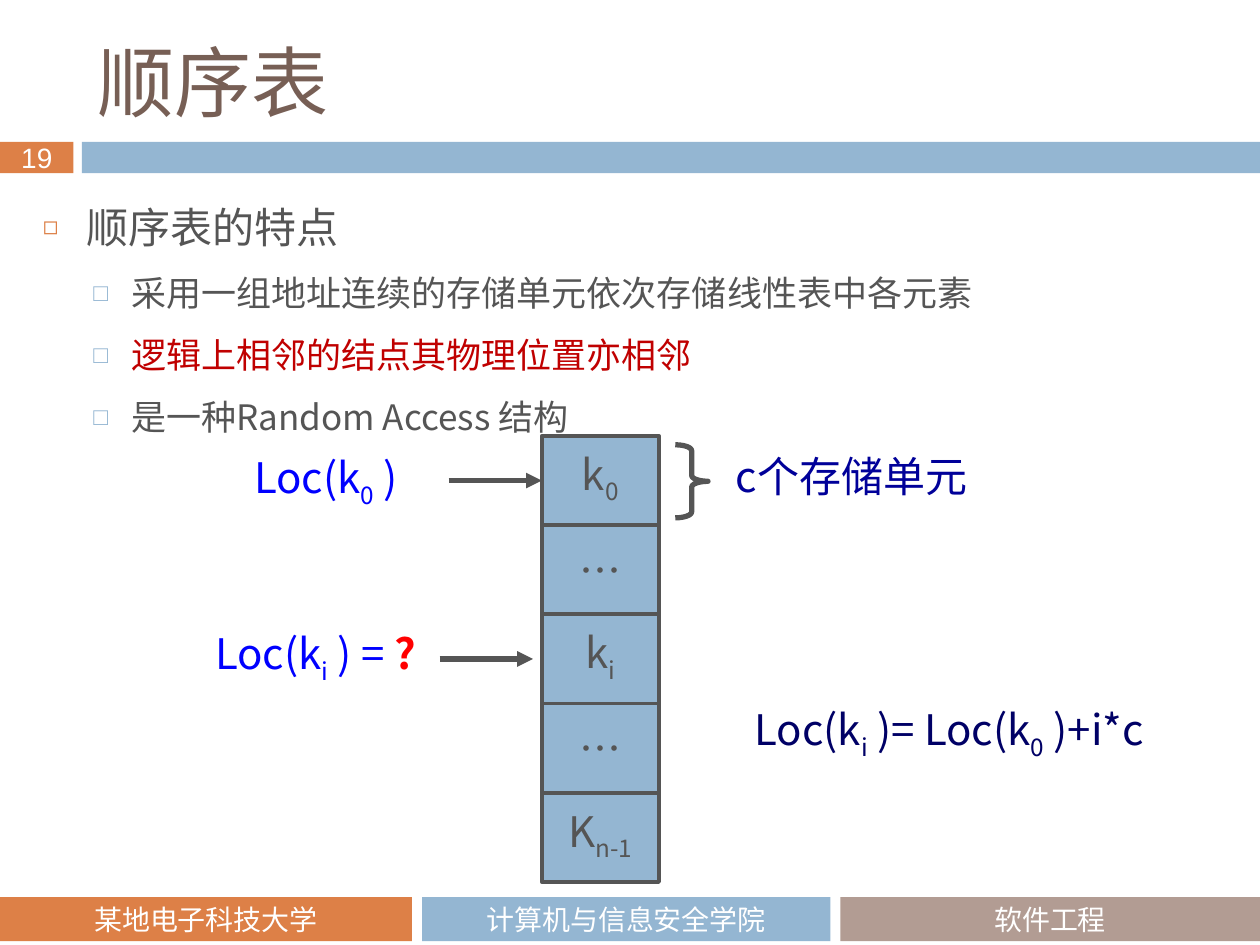
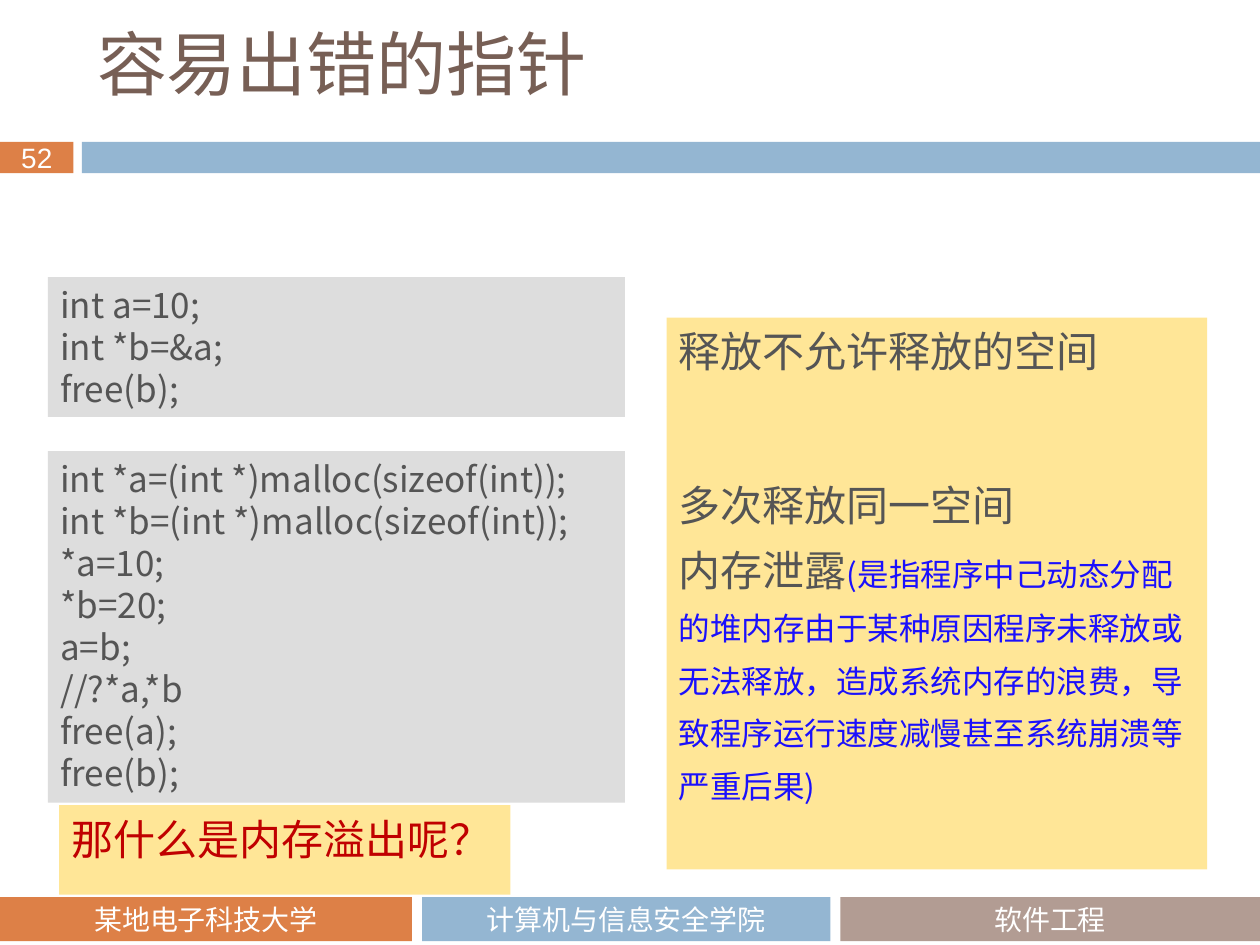
from collections import namedtuple

from lxml import etree
from pptx import Presentation, util as u
from pptx.dml.color import RGBColor
from pptx.enum import shapes, text
from pptx.oxml import ns

# Slide grid: 100 columns by 75 rows
COLS, ROWS = 100, 75
WIDTH, HEIGHT = u.Inches(10), u.Inches(7.5)
Box = namedtuple("Box", "col row cols rows")

ORANGE, BLUE, TAUPE = "DD8047", "94B6D2", "B29C93"
BROWN, INK, RED, WHITE = "775F55", "555555", "C00000", "FFFFFF"
GREY, YELLOW = "DDDDDD", "FFE697"
BODY_FONT, TITLE_FONT, BAND_FONT, NUMBER_FONT = (
    "Noto Sans CJK SC", "Noto Sans CJK JP", "Cabin", "Arial")
RECT = shapes.MSO_SHAPE.RECTANGLE
CENTER, LEFT = text.PP_ALIGN.CENTER, text.PP_ALIGN.LEFT
MIDDLE, TOP = text.MSO_ANCHOR.MIDDLE, text.MSO_ANCHOR.TOP


# ---- Shared helpers ----
def rgb(hex_code):
    return RGBColor.from_string(hex_code)


def x(col):
    return int(WIDTH * col / COLS)


def y(row):
    return int(HEIGHT * row / ROWS)


def inside(region, col, row, cols, rows):
    return Box(region.col + col, region.row + row, cols, rows)


def place(part, box):
    part.left, part.top = x(box.col), y(box.row)
    part.width, part.height = x(box.cols), y(box.rows)


def sub(label):
    return label, {"subscript": True}


def add_run(paragraph, label, size, color, font, bold=None, subscript=False):
    run = paragraph.add_run()
    run.text = label
    run.font.size, run.font.name, run.font.bold = u.Pt(size), font, bold
    run.font.color.rgb = rgb(color)
    props = run.font._element
    east_asian = etree.Element(ns.qn("a:ea"), typeface=font)
    props.find(ns.qn("a:latin")).addnext(east_asian)
    if subscript:
        props.set("baseline", "-25000")


def write(frame, lines, size, color=INK, font=BODY_FONT, align=LEFT,
          anchor=TOP, spacing=None, before=0):
    """Each line is a list of runs: a string, or a string with its changes."""
    frame.word_wrap = True
    frame.auto_size = text.MSO_AUTO_SIZE.NONE
    frame.vertical_anchor = anchor
    for i, runs in enumerate(lines):
        paragraph = frame.add_paragraph() if i else frame.paragraphs[0]
        paragraph.alignment = align
        paragraph.line_spacing = u.Pt(spacing or round(size * 1.2, 1))
        paragraph.space_before = u.Pt(before)
        for item in runs:
            label, changes = (item, {}) if isinstance(item, str) else item
            style = {"size": size, "color": color, "font": font, **changes}
            add_run(paragraph, label, **style)


def add_panel(slide, box, fill=None, line=None, weight=1, kind=RECT):
    panel = slide.shapes.add_shape(kind, 0, 0, 0, 0)
    place(panel, box)
    panel.shadow.inherit = False
    if fill:
        panel.fill.solid()
        panel.fill.fore_color.rgb = rgb(fill)
    else:
        panel.fill.background()
    if line:
        panel.line.color.rgb = rgb(line)
        panel.line.width = u.Pt(weight)
    else:
        panel.line.fill.background()
    return panel


def add_label(slide, box, runs, color):
    label = slide.shapes.add_textbox(0, 0, 0, 0)
    place(label, box)
    write(label.text_frame, [runs], 24, color)


def add_arrow(slide, col, row, cols):
    arrow = slide.shapes.add_connector(
        shapes.MSO_CONNECTOR.STRAIGHT, x(col), y(row), x(col + cols), y(row))
    arrow.line.color.rgb = rgb(INK)
    arrow.line.width = u.Pt(3)
    etree.SubElement(arrow.line._get_or_add_ln(), ns.qn("a:tailEnd"), type="triangle")
    etree.SubElement(arrow._element.spPr, ns.qn("a:effectLst"))


# ---- Frame common to the slides ----
def add_band(slide, box, fill, label="", font=BAND_FONT):
    band = add_panel(slide, box, fill)
    if label:
        frame = band.text_frame
        frame.margin_left = frame.margin_right = 0
        frame.margin_top = frame.margin_bottom = 0
        write(frame, [[label]], 16, WHITE, font, CENTER, MIDDLE)


def start_slide(deck, layout, number, title, title_size, title_row):
    slide = deck.slides.add_slide(deck.slide_layouts[layout])
    # Header bands
    add_band(slide, Box(0, 11.25, 5.83, 2.5), ORANGE, number, NUMBER_FONT)
    add_band(slide, Box(6.5, 11.25, 93.5, 2.5), BLUE)
    # Footer bands
    for col, cols, fill, label in ((0, 32.7, ORANGE, "某地电子科技大学"),
                                   (33.5, 32.4, BLUE, "计算机与信息安全学院"),
                                   (66.7, 33.3, TAUPE, "软件工程")):
        add_band(slide, Box(col, 71.2, cols, 3.5), fill, label)
    # Title
    place(slide.shapes.title, Box(6.7, title_row, 89.2, 7.8))
    write(slide.shapes.title.text_frame, [[title]], title_size, BROWN,
          TITLE_FONT, anchor=MIDDLE)
    return slide


# ---- Sequential list slide ----
def add_bullet(paragraph, level):
    margin, indent, mark, color, percent = (
        (0.35, -0.35, "◻", ORANGE, 60), (0.7, -0.3, "□", BLUE, 70))[level]
    paragraph.level = level
    paragraph.space_before = u.Pt((7, 5.5)[level])
    props = paragraph._p.get_or_add_pPr()
    props.set("marL", str(u.Inches(margin)))
    props.set("indent", str(u.Inches(indent)))
    bullet_color = etree.SubElement(props, ns.qn("a:buClr"))
    etree.SubElement(bullet_color, ns.qn("a:srgbClr"), val=color)
    etree.SubElement(props, ns.qn("a:buSzPct"), val=str(percent * 1000))
    etree.SubElement(props, ns.qn("a:buChar"), char=mark)


def add_features(slide, box):
    features = slide.placeholders[1]
    place(features, box)
    small = {"size": 20}
    write(features.text_frame, [
        ["顺序表的特点"],
        [("采用一组地址连续的存储单元依次存储线性表中各元素", small)],
        [("逻辑上相邻的结点其物理位置亦相邻", {**small, "color": RED})],
        [("是一种Random Access 结构", small)],
    ], 24, spacing=30)
    for i, paragraph in enumerate(features.text_frame.paragraphs):
        add_bullet(paragraph, min(i, 1))


def add_memory(slide, box):
    cells = (["k", sub("0")], ["…"], ["k", sub("i")], ["…"], ["K", sub("n-1")])
    pitch = box.rows / len(cells)
    cell_col, cell_cols = 26.9, 9.3

    # Size of one element
    brace = add_panel(slide, inside(box, 37.5, 0.7, 2.6, 5.8), line=INK,
                      weight=3, kind=shapes.MSO_SHAPE.RIGHT_BRACE)
    brace.adjustments[0] = 0.18
    add_label(slide, inside(box, 41.3, 0.7, 20.6, 5), ["c个存储单元"], "000099")

    # Addresses
    add_label(slide, inside(box, 3.1, 1.3, 14.3, 5),
              ["Loc(k", sub("0"), " )"], "0000FF")
    add_label(slide, inside(box, 0, 15.3, 19.5, 5),
              ["Loc(k", sub("i"), " ) = ", ("?", {"color": "FF0000", "bold": True})],
              "0000FF")
    add_label(slide, inside(box, 42.8, 21.3, 38.1, 5),
              ["Loc(k", sub("i"), " )= Loc(k", sub("0"), " )+i*c"], "000066")

    # Stack of storage cells
    for i, runs in enumerate(cells):
        cell = add_panel(slide, inside(box, cell_col, i * pitch, cell_cols, pitch),
                         BLUE, INK, 2.25)
        write(cell.text_frame, [runs], 24, align=CENTER, anchor=MIDDLE)

    # Pointers to the first and the i-th cell
    for index, gap in ((0, 0), (2, 0.7)):
        add_arrow(slide, box.col + cell_col - 7.4 - gap,
                  box.row + (index + 0.5) * pitch, 7.4)


def build_list_slide(deck):
    slide = start_slide(deck, 1, "19", "顺序表", 44, 2.5)
    add_features(slide, Box(2.4, 15.3, 77.9, 20.6))
    add_memory(slide, Box(16.1, 34.6, 80.9, 35.4))


# ---- Pointer mistakes slide ----
def add_code(slide, box, *lines):
    code = add_panel(slide, box, GREY)
    write(code.text_frame, [[line] for line in lines], 20)


def add_note(slide, box, lines, color=INK, top_inset=0.05):
    note = add_panel(slide, box, YELLOW)
    note.text_frame.margin_top = u.Inches(top_inset)
    write(note.text_frame, lines, 24, color, spacing=30, before=7)


def add_examples(slide, box):
    add_code(slide, inside(box, 0, 13.8, box.cols, 27.9),
             "int *a=(int *)malloc(sizeof(int));",
             "int *b=(int *)malloc(sizeof(int));",
             "*a=10;", "*b=20;", "a=b;", "//?*a,*b", "free(a);", "free(b);")
    add_code(slide, inside(box, 0, 0, box.cols, 11.1),
             "int a=10;", "int *b=&a;", "free(b);")
    add_note(slide, inside(box, 0.9, 41.9, 35.8, 7.1),
             [["那什么是内存溢出呢？"]], RED)


def add_mistakes(slide, box):
    first = 7.1
    leak = ("(是指程序中己动态分配的堆内存由于某种原因程序未释放或无法释放，"
            "造成系统内存的浪费，导致程序运行速度减慢甚至系统崩溃等严重后果)")
    add_note(slide, inside(box, 0, 0, box.cols, first), [["释放不允许释放的空间"]])
    add_note(slide, inside(box, 0, first, box.cols, box.rows - first),
             [["多次释放同一空间"],
              ["内存泄露", (leak, {"size": 18, "color": "1B10FC"})]],
             top_inset=0.56)


def build_pointer_slide(deck):
    slide = start_slide(deck, 5, "52", "容易出错的指针", 40, 1.1)
    add_examples(slide, Box(3.8, 22, 45.8, 49))
    add_mistakes(slide, Box(52.9, 25.2, 42.9, 43.8))


def main():
    deck = Presentation()
    deck.slide_width, deck.slide_height = WIDTH, HEIGHT
    build_list_slide(deck)
    build_pointer_slide(deck)
    deck.save("out.pptx")


if __name__ == "__main__":
    main()
